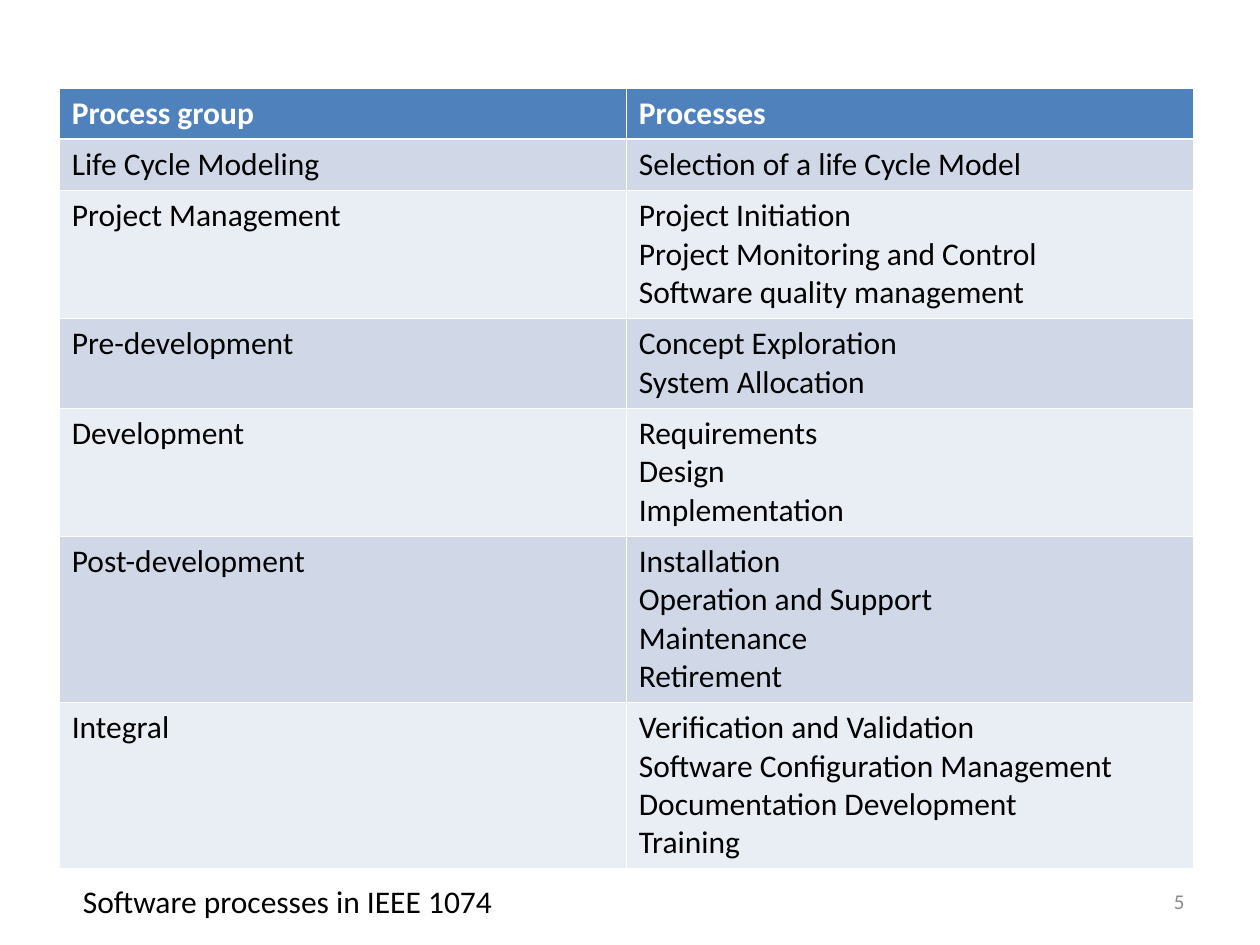
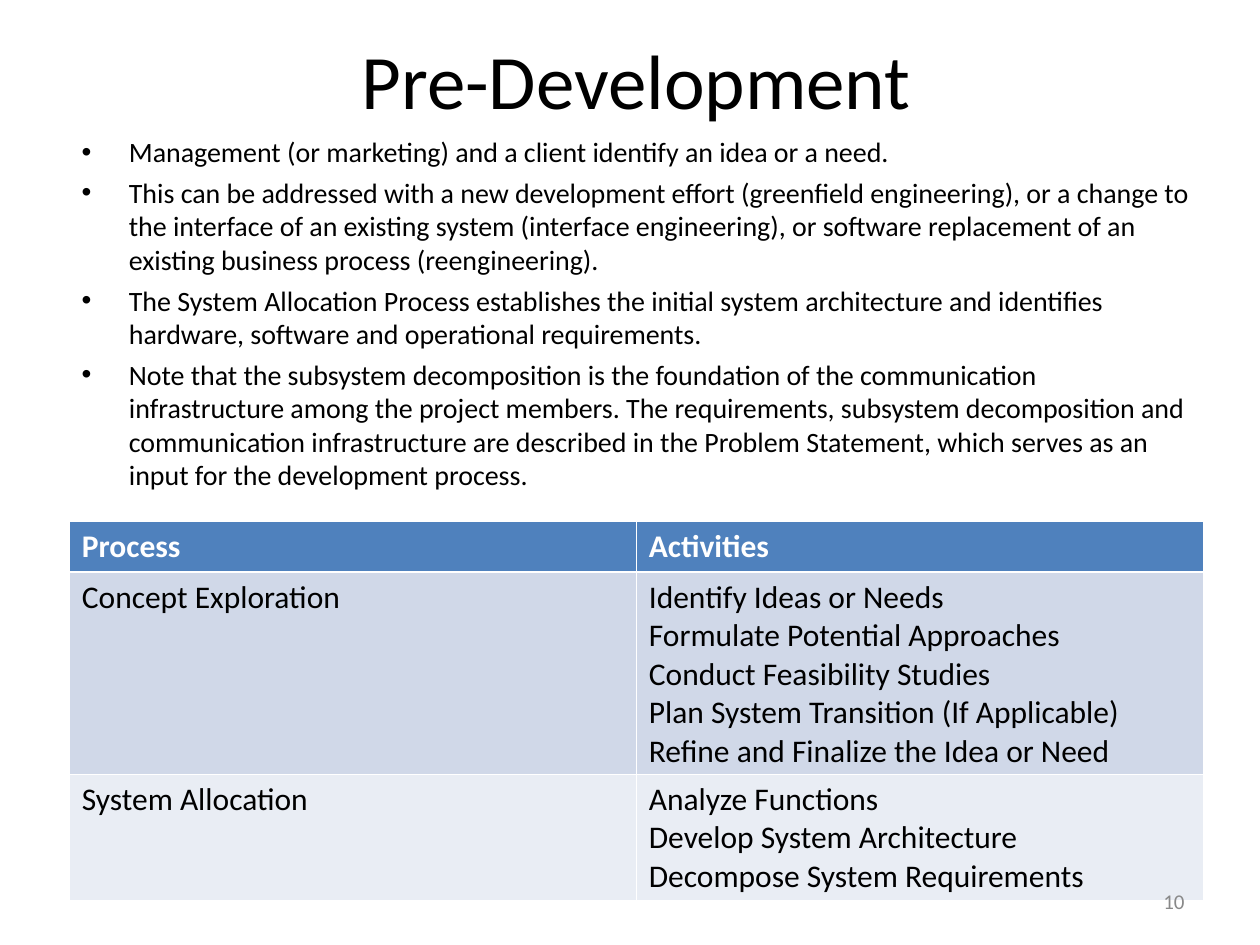
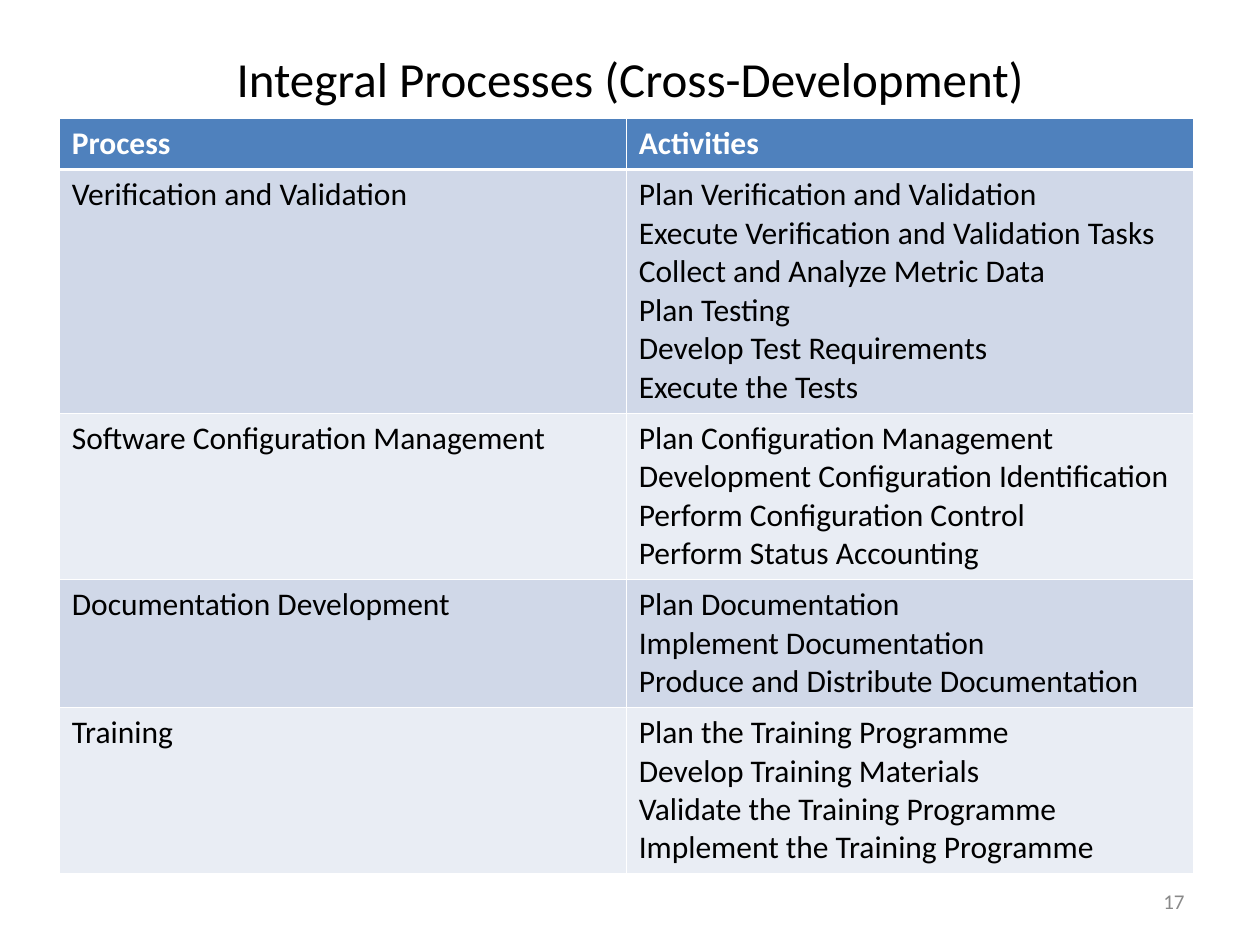
from dataclasses import dataclass

from lxml import etree
from pptx import Presentation
from pptx import util as u
from pptx.dml import color
from pptx.enum import text
from pptx.oxml import ns
from pptx.slide import Slide
from pptx.table import _Cell
from pptx.text.text import TextFrame

Pt = u.Pt
Align = text.PP_ALIGN
Anchor = text.MSO_ANCHOR


@dataclass(frozen=True)
class Theme:
    font: str = "Calibri"
    ink: str = "000000"
    white: str = "FFFFFF"
    gray: str = "898989"
    head: str = "4F81BD"
    bands: tuple[str, str] = ("D0D8E8", "E9EDF4")
    title: float = 44
    small: float = 28
    cell: float = 18
    body: float = 16
    page: float = 12
    thin: float = 0.45
    thick: float = 1.47


@dataclass(frozen=True)
class Box:
    left: float
    top: float
    width: float
    height: float

    def points(self) -> tuple[u.Length, ...]:
        return Pt(self.left), Pt(self.top), Pt(self.width), Pt(self.height)


@dataclass(frozen=True)
class Row:
    name: str
    items: tuple[str, ...]


@dataclass(frozen=True)
class Grid:
    left: float
    top: float
    rows: tuple[Row, ...]


THEME = Theme()
COLUMN = 324
LINE = 21.64
PAD = 7.2
INDENT = 27
PAGE = Box(516.24, 500.4, 167.76, 28.8)

GROUPS = Grid(33.84, 50.4, (
    Row("Process group", ("Processes",)),
    Row("Life Cycle Modeling", ("Selection of a life Cycle Model",)),
    Row("Project Management", (
        "Project Initiation",
        "Project Monitoring and Control",
        "Software quality management")),
    Row("Pre-development", ("Concept Exploration", "System Allocation")),
    Row("Development", ("Requirements", "Design", "Implementation")),
    Row("Post-development", (
        "Installation",
        "Operation and Support",
        "Maintenance",
        "Retirement")),
    Row("Integral", (
        "Verification and Validation",
        "Software Configuration Management",
        "Documentation Development",
        "Training")),
))

EARLY = Grid(39.6, 298.08, (
    Row("Process", ("Activities",)),
    Row("Concept Exploration", (
        "Identify Ideas or Needs",
        "Formulate Potential Approaches",
        "Conduct Feasibility Studies",
        "Plan System Transition (If Applicable)",
        "Refine and Finalize the Idea or Need")),
    Row("System Allocation", (
        "Analyze Functions",
        "Develop System Architecture",
        "Decompose System Requirements")),
))

CROSS = Grid(33.84, 67.68, (
    Row("Process", ("Activities",)),
    Row("Verification and Validation", (
        "Plan Verification and Validation",
        "Execute Verification and Validation Tasks",
        "Collect and Analyze Metric Data",
        "Plan Testing",
        "Develop Test Requirements",
        "Execute the Tests")),
    Row("Software Configuration Management", (
        "Plan Configuration Management",
        "Development Configuration Identification",
        "Perform Configuration Control",
        "Perform Status Accounting")),
    Row("Documentation Development", (
        "Plan Documentation",
        "Implement Documentation",
        "Produce and Distribute Documentation")),
    Row("Training", (
        "Plan the Training Programme",
        "Develop Training Materials",
        "Validate the Training Programme",
        "Implement the Training Programme")),
))

POINTS = (
    "Management (or marketing) and a client identify an idea or a need.",
    "This can be addressed with a new development effort (greenfield "
    "engineering), or a change to the interface of an existing system "
    "(interface engineering), or software replacement of an existing "
    "business process (reengineering).",
    "The System Allocation Process establishes the initial system "
    "architecture and identifies hardware, software and operational "
    "requirements.",
    "Note that the subsystem decomposition is the foundation of the "
    "communication infrastructure among the project members. The "
    "requirements, subsystem decomposition and communication "
    "infrastructure are described in the Problem Statement, which serves "
    "as an input for the development process.",
)


def write(frame: TextFrame, *lines: str, size: float = THEME.cell,
          ink: str = THEME.ink, bold: bool = False,
          align: Align = Align.LEFT, gap: float = 0,
          bullet: bool = False) -> None:
    for index, line in enumerate(lines):
        para = frame.add_paragraph() if index else frame.paragraphs[0]
        para.alignment = align
        para.space_before = Pt(gap if index else 0)
        if bullet:
            props = para._p.get_or_add_pPr()
            props.set("marL", str(Pt(INDENT)))
            props.set("indent", str(-Pt(INDENT)))
            etree.SubElement(props, ns.qn("a:buFont")).set("typeface", "Arial")
            etree.SubElement(props, ns.qn("a:buChar")).set("char", "•")
        run = para.add_run()
        run.text = line
        run.font.name = THEME.font
        run.font.size = Pt(size)
        run.font.bold = bold
        run.font.color.rgb = color.RGBColor.from_string(ink)


def add_text(slide: Slide, box: Box, *lines: str, wrap: bool = True,
             anchor: Anchor = Anchor.TOP, **style) -> None:
    frame = slide.shapes.add_textbox(*box.points()).text_frame
    frame.word_wrap = wrap
    frame.vertical_anchor = anchor
    write(frame, *lines, **style)


def add_title(slide: Slide, box: Box, line: str, size: float) -> None:
    title = slide.shapes.title
    title.left, title.top, title.width, title.height = box.points()
    frame = title.text_frame
    frame.auto_size = text.MSO_AUTO_SIZE.NONE
    frame.vertical_anchor = Anchor.MIDDLE
    write(frame, line, size=size, align=Align.CENTER)


def add_page(slide: Slide, number: int) -> None:
    add_text(slide, PAGE, str(number), anchor=Anchor.MIDDLE,
             size=THEME.page, ink=THEME.gray, align=Align.RIGHT)


def edge(cell: _Cell, row: int) -> None:
    props = cell._tc.get_or_add_tcPr()
    heavy = {0: "lnB", 1: "lnT"}.get(row)
    for side in ("lnL", "lnR", "lnT", "lnB"):
        width = THEME.thick if side == heavy else THEME.thin
        line = etree.SubElement(props, ns.qn(f"a:{side}"), w=str(Pt(width)))
        fill = etree.SubElement(line, ns.qn("a:solidFill"))
        etree.SubElement(fill, ns.qn("a:srgbClr"), val=THEME.white)


def add_grid(slide: Slide, grid: Grid) -> None:
    highs = [PAD + LINE * len(row.items) for row in grid.rows]
    box = Box(grid.left, grid.top, 2 * COLUMN, sum(highs))
    table = slide.shapes.add_table(len(highs), 2, *box.points()).table
    table.horz_banding = False
    for column in table.columns:
        column.width = Pt(COLUMN)
    for index, row in enumerate(grid.rows):
        table.rows[index].height = Pt(highs[index])
        head = index == 0
        shade = THEME.head if head else THEME.bands[(index - 1) % 2]
        for cell, lines in zip(table.rows[index].cells,
                               ((row.name,), row.items)):
            edge(cell, index)
            cell.fill.solid()
            cell.fill.fore_color.rgb = color.RGBColor.from_string(shade)
            write(cell.text_frame, *lines, bold=head,
                  ink=THEME.white if head else THEME.ink)


def main() -> None:
    deck = Presentation()
    deck.slide_width, deck.slide_height = Pt(720), Pt(540)
    titled, blank = deck.slide_layouts[5], deck.slide_layouts[6]

    slide = deck.slides.add_slide(blank)
    add_grid(slide, GROUPS)
    add_text(slide, Box(40.32, 500.4, 249.12, 28.8),
             "Software processes in IEEE 1074", wrap=False)
    add_page(slide, 5)

    slide = deck.slides.add_slide(titled)
    add_title(slide, Box(39.6, 0, 648, 90), "Pre-Development", THEME.title)
    add_text(slide, Box(39.6, 73.44, 648, 245.52), *POINTS,
             size=THEME.body, gap=4, bullet=True)
    add_grid(slide, EARLY)
    add_page(slide, 10)

    slide = deck.slides.add_slide(titled)
    add_title(slide, Box(36, 21.6, 648, 46.08),
              "Integral Processes (Cross-Development)", THEME.small)
    add_grid(slide, CROSS)
    add_page(slide, 17)

    deck.save("out.pptx")


if __name__ == "__main__":
    main()
